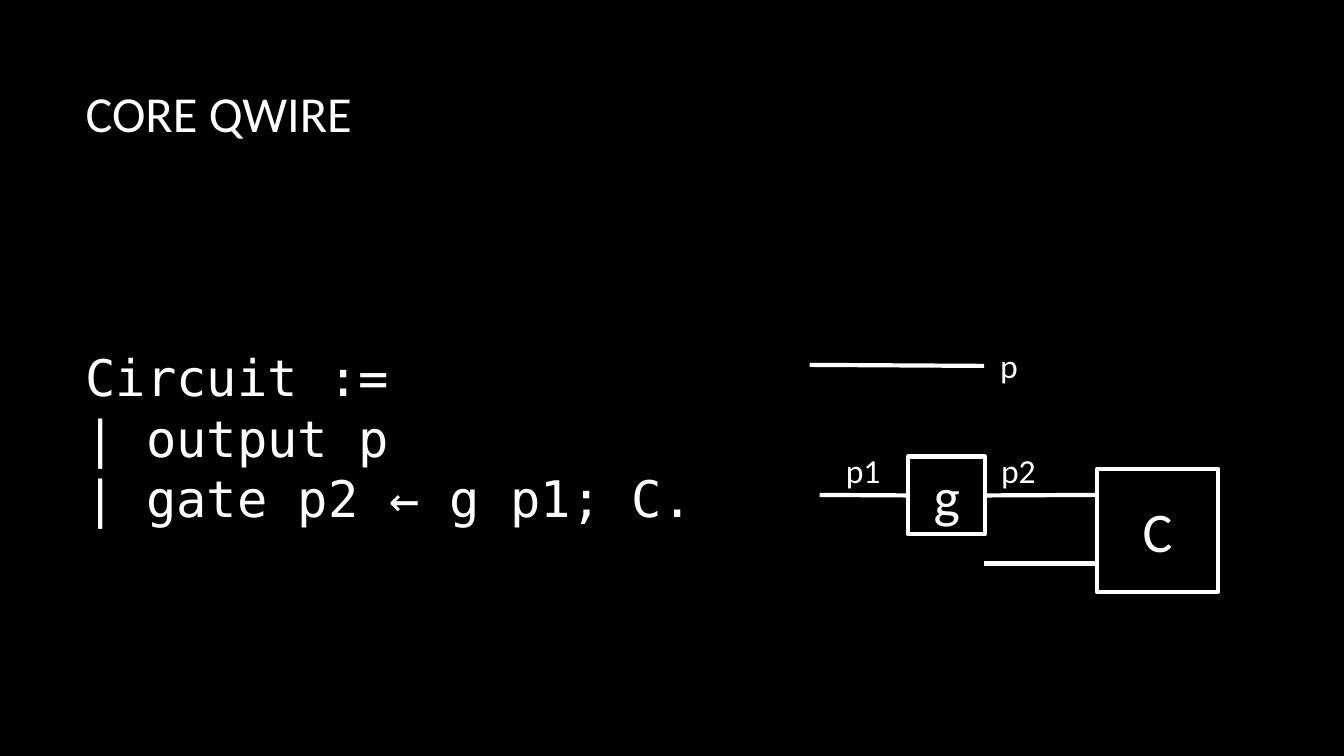
import pptx
import pptx.util
import pptx.dml.color
import pptx.enum.shapes
import pptx.enum.text
import lxml.etree
from dataclasses import dataclass

Inches = pptx.util.Inches
Pt = pptx.util.Pt


@dataclass(frozen=True)
class Theme:
    back = pptx.dml.color.RGBColor(0, 0, 0)
    ink = pptx.dml.color.RGBColor(255, 255, 255)
    sans = "Calibri"
    mono = "DejaVu Sans Mono"
    heading = Pt(36)
    box = Pt(40)
    label = Pt(24)
    stroke = Pt(3)


theme = Theme()


def write(sp, text, size, font, anchor, align):
    tf = sp.text_frame
    tf.text = text
    tf.vertical_anchor = anchor
    for p in tf.paragraphs:
        p.alignment = align
        p.font.size = size
        p.font.name = font
        p.font.color.rgb = theme.ink
    return tf


ANCHOR = pptx.enum.text.MSO_ANCHOR
ALIGN = pptx.enum.text.PP_ALIGN

prs = pptx.Presentation()
prs.slide_width = Inches(13.33)
prs.slide_height = Inches(7.5)
s = prs.slides.add_slide(prs.slide_layouts[5])
s.background.fill.solid()
s.background.fill.fore_color.rgb = theme.back

title = s.shapes.title
title.left, title.top = Inches(0.75), Inches(0.32)
title.width, title.height = Inches(11.08), Inches(1.59)
write(title, "CORE QWIRE", theme.heading, theme.sans, ANCHOR.MIDDLE, ALIGN.LEFT)

code = s.shapes.add_textbox(Inches(0.75), Inches(2.34), Inches(11.08), Inches(3.99))
grammar = "Circuit :=\v| output p\v| gate p2 ← g p1; C."
tf = write(code, grammar, theme.heading, theme.mono, ANCHOR.MIDDLE, ALIGN.LEFT)
tf.word_wrap = True

boxes = {}
for name, x, y, w, h in [("g", 9.01, 4.53, 0.76, 0.77), ("C", 10.88, 4.65, 1.2, 1.22)]:
    sp = s.shapes.add_shape(pptx.enum.shapes.MSO_SHAPE.RECTANGLE,
                            Inches(x), Inches(y), Inches(w), Inches(h))
    sp.shadow.inherit = False
    sp.fill.background()
    sp.line.color.rgb = theme.ink
    sp.line.width = theme.stroke
    write(sp, name, theme.box, theme.sans, ANCHOR.MIDDLE, ALIGN.CENTER)
    boxes[name] = sp

wires = {}
for name, x1, y1, x2, y2 in [
    ("p1", 9.01, 4.91, 8.13, 4.91),
    ("p2", 9.77, 4.91, 10.88, 4.91),
    ("rest", 9.76, 5.59, 10.88, 5.59),
    ("p", 9.76, 3.63, 8.03, 3.62),
]:
    wire = s.shapes.add_connector(pptx.enum.shapes.MSO_CONNECTOR.STRAIGHT,
                                  Inches(x1), Inches(y1), Inches(x2), Inches(y2))
    wire.line.color.rgb = theme.ink
    wire.line.width = theme.stroke
    lxml.etree.SubElement(wire._element.spPr, pptx.oxml.ns.qn("a:effectLst"))
    wires[name] = wire
wires["p1"].begin_connect(boxes["g"], 1)
wires["p2"].begin_connect(boxes["g"], 3)

for text, x, y, w in [("p1", 8.29, 4.41, 0.55), ("p2", 9.83, 4.41, 0.55), ("p", 9.82, 3.37, 0.38)]:
    label = s.shapes.add_textbox(Inches(x), Inches(y), Inches(w), Inches(0.5))
    tf = write(label, text, theme.label, theme.sans, ANCHOR.TOP, ALIGN.LEFT)
    tf.word_wrap = False

prs.save("out.pptx")
